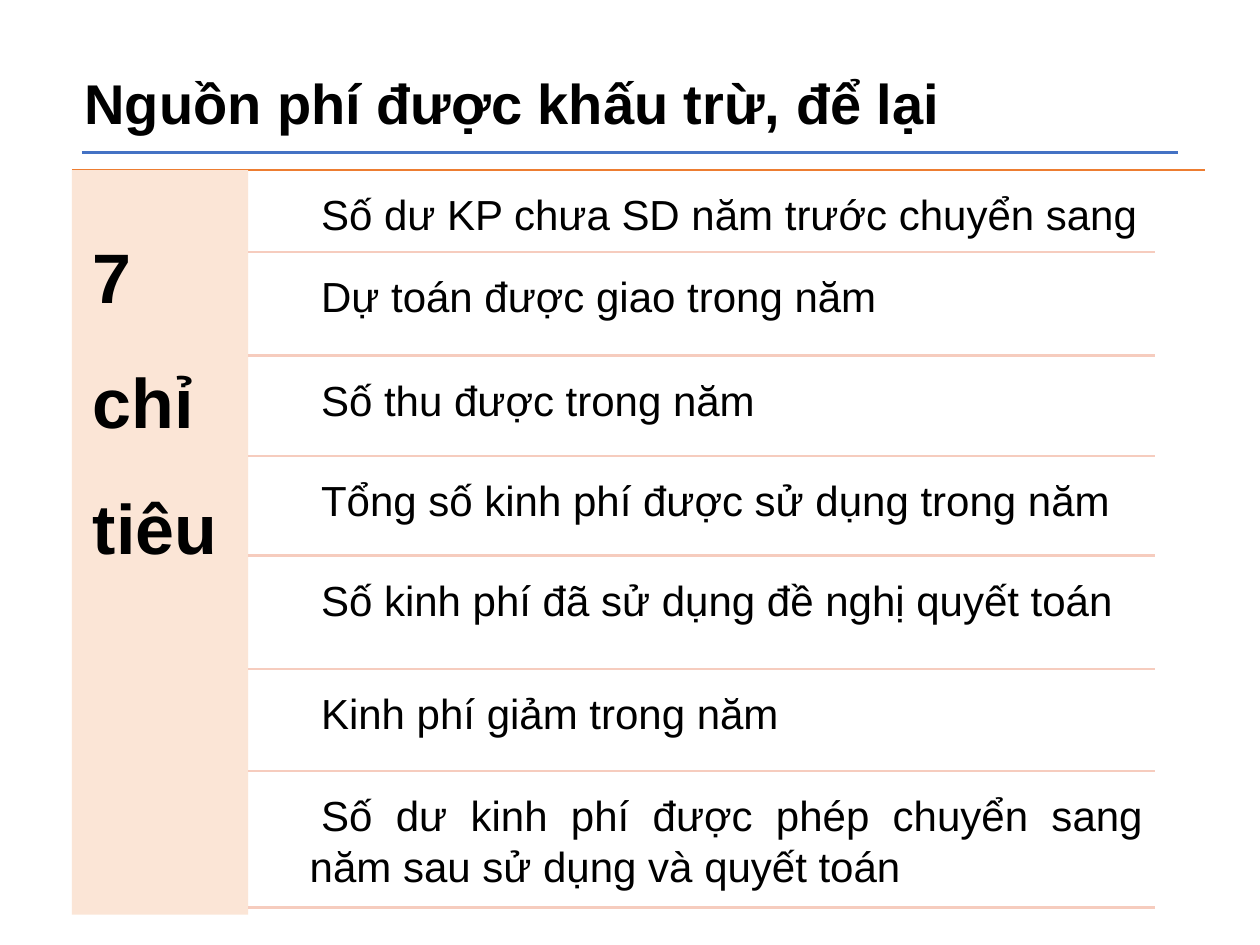
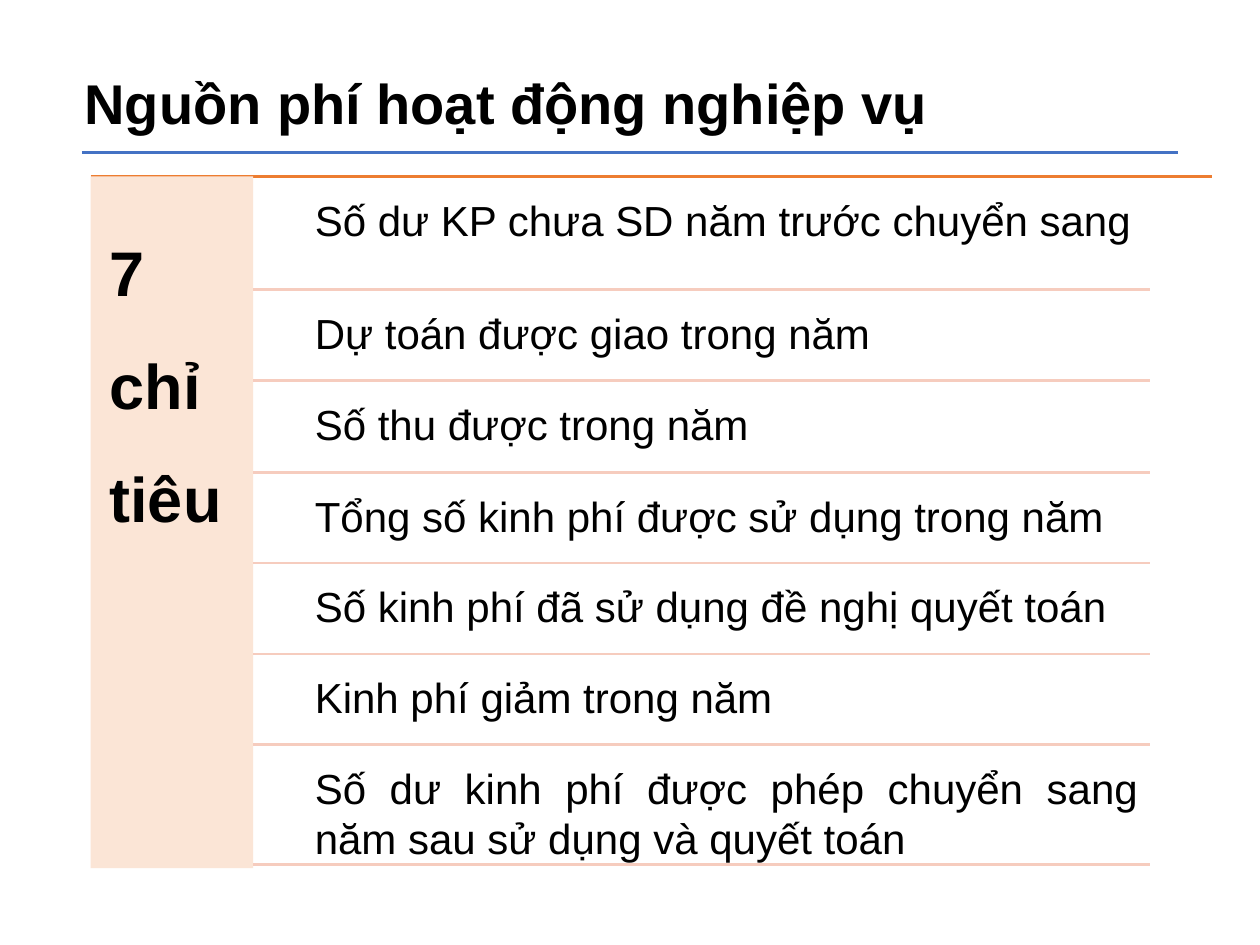
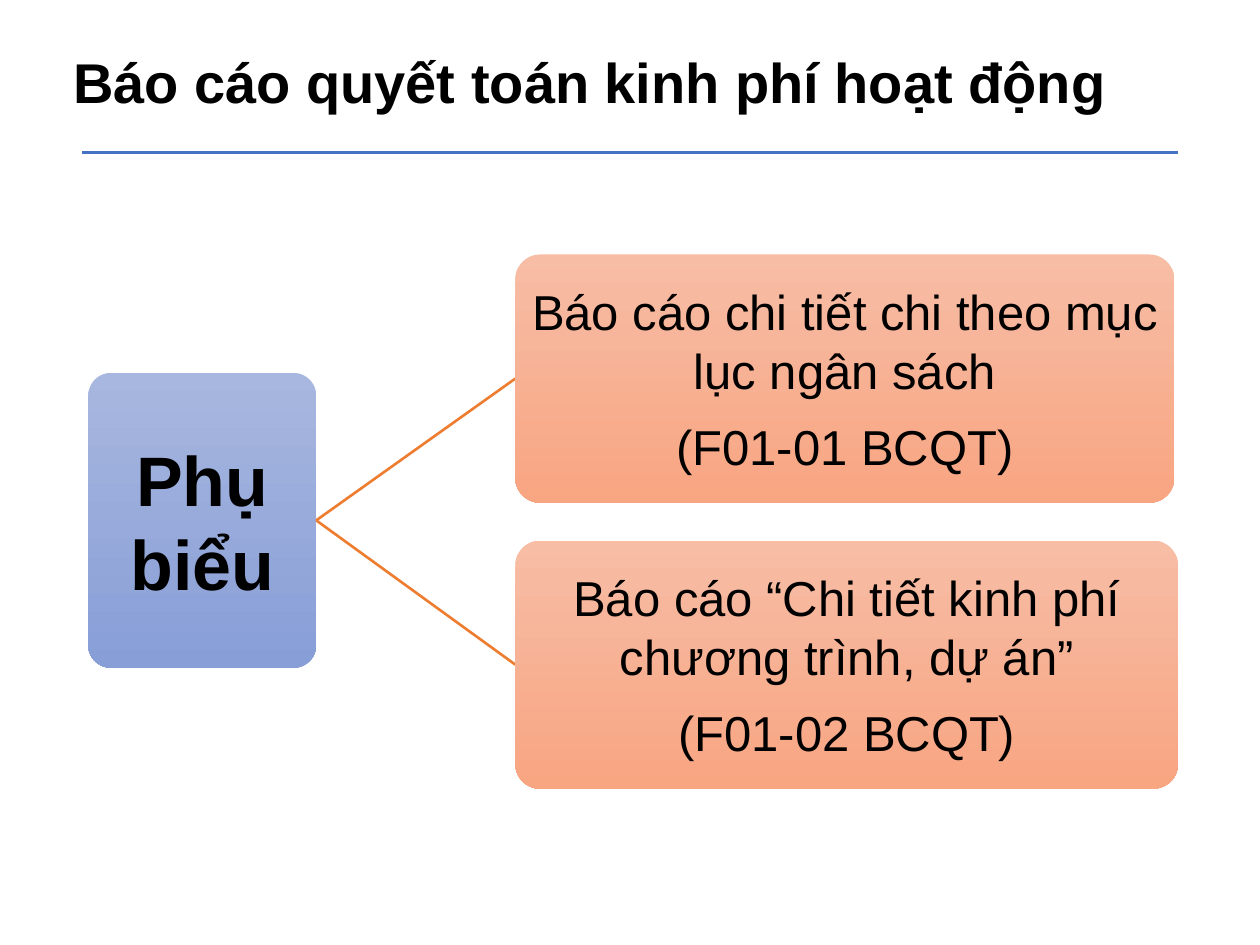
"""Build three slides on fee-funded budget settlement reports."""
import pptx
import pptx.dml.color
import pptx.enum.shapes
import pptx.enum.text
import pptx.oxml
import pptx.util
from pptx.util import Inches

RGBColor = pptx.dml.color.RGBColor
MSO_SHAPE = pptx.enum.shapes.MSO_SHAPE
PP_ALIGN = pptx.enum.text.PP_ALIGN
MSO_ANCHOR = pptx.enum.text.MSO_ANCHOR

FONT = "Arial"
BLACK = RGBColor(0x00, 0x00, 0x00)
BLUE = RGBColor(0x44, 0x72, 0xC4)
ORANGE = RGBColor(0xED, 0x7D, 0x31)
PEACH = RGBColor(0xFB, 0xE5, 0xD6)
ROW_RULE = RGBColor(0xF6, 0xCC, 0xBE)
BLUE_GRADIENT = (RGBColor(0xA8, 0xB7, 0xDF), RGBColor(0x88, 0x9E, 0xD7))
ORANGE_GRADIENT = (RGBColor(0xF7, 0xBD, 0xA5), RGBColor(0xF8, 0xA5, 0x82))

INDICATORS = [
    "Số dư KP chưa SD năm trước chuyển sang",
    "Dự toán được giao trong năm",
    "Số thu được trong năm",
    "Tổng số kinh phí được sử dụng trong năm",
    "Số kinh phí đã sử dụng đề nghị quyết toán",
    "Kinh phí giảm trong năm",
    "Số dư kinh phí được phép chuyển sang năm sau sử dụng và quyết toán",
]


def add_line(s, x1, y1, x2, y2, color):
    """Draw a straight 1.5 pt line without a shadow."""
    line = s.shapes.add_connector(
        pptx.enum.shapes.MSO_CONNECTOR.STRAIGHT,
        Inches(x1), Inches(y1), Inches(x2), Inches(y2))
    line.line.color.rgb = color
    line.line.width = pptx.util.Pt(1.5)
    line._element.spPr.append(pptx.oxml.parse_xml(
        '<a:effectLst xmlns:a="http://schemas.openxmlformats.org/drawingml/2006/main"/>'))
    return line


def set_text(sp, paragraphs, size, bold=False, align=PP_ALIGN.LEFT,
             anchor=MSO_ANCHOR.TOP, margin=0.1, space_after=0, line_spacing=1.0):
    """Fill a shape with evenly formatted paragraphs."""
    tf = sp.text_frame
    tf.word_wrap = True
    tf.auto_size = pptx.enum.text.MSO_AUTO_SIZE.NONE
    tf.vertical_anchor = anchor
    tf.margin_left = tf.margin_right = Inches(margin)
    tf.margin_top = tf.margin_bottom = Inches(margin)
    tf.text = "\n".join(paragraphs)
    for p in tf.paragraphs:
        p.alignment = align
        p.line_spacing = line_spacing
        p.space_after = pptx.util.Pt(space_after)
        p.font.name = FONT
        p.font.size = pptx.util.Pt(size)
        p.font.bold = bold
        p.font.color.rgb = BLACK


def add_shape(s, kind, left, top, width, height):
    """Add a preset shape without outline or shadow."""
    sp = s.shapes.add_shape(kind, Inches(left), Inches(top), Inches(width), Inches(height))
    sp.shadow.inherit = False
    sp.line.fill.background()
    return sp


def add_slide(prs, title, left=0.57, top=0.49, width=7.18):
    """Add a slide with a bold left-aligned title."""
    s = prs.slides.add_slide(prs.slide_layouts[5])
    sp = s.shapes.title
    sp.left, sp.top = Inches(left), Inches(top)
    sp.width, sp.height = Inches(width), Inches(0.64)
    set_text(sp, [title], 32, bold=True)
    sp.text_frame.margin_top = sp.text_frame.margin_bottom = Inches(0.05)
    return s


def add_title_rule(s, layout):
    """Put the blue rule under the title on the shared layout."""
    rule = add_line(s, 0.65, 1.21, 9.35, 1.21, BLUE)
    layout.shapes._spTree.append(rule._element)


def add_indicator_list(s, left, top, column_width, column_height, size,
                       right, top_rule_right, row_bottoms, gap, first_indent=0):
    """Draw the heading column and the ruled list of seven indicators."""
    add_line(s, left, top, top_rule_right, top, ORANGE)
    column = add_shape(s, MSO_SHAPE.RECTANGLE, left, top, column_width, column_height)
    column.fill.solid()
    column.fill.fore_color.rgb = PEACH
    set_text(column, ["7 chỉ tiêu"], size, bold=True, margin=size / 240, line_spacing=1.5)
    column_right = left + column_width
    text_left = column_right + 0.14
    row_tops = [top] + row_bottoms[:-1]
    for indicator, row_top, bottom in zip(INDICATORS, row_tops, row_bottoms):
        sp = s.shapes.add_textbox(Inches(text_left), Inches(row_top + gap),
                                  Inches(right - text_left), Inches(bottom - row_top - gap))
        set_text(sp, [indicator], 24, align=PP_ALIGN.JUSTIFY)
        pPr = sp.text_frame.paragraphs[0]._p.get_or_add_pPr()
        pPr.set("marL", str(Inches(0.25)))
        pPr.set("indent", str(Inches(first_indent)))
        add_line(s, column_right, bottom, right, bottom, ROW_RULE)


def add_card(s, left, top, width, height, gradient, paragraphs, size, bold=False):
    """Add a rounded card with a vertical gradient and centred text."""
    card = add_shape(s, MSO_SHAPE.ROUNDED_RECTANGLE, left, top, width, height)
    card.adjustments[0] = 0.1
    card.fill.gradient()
    card.fill.gradient_angle = 270
    for stop, color in zip(card.fill.gradient_stops, gradient):
        stop.color.rgb = color
    set_text(card, paragraphs, size, bold=bold, align=PP_ALIGN.CENTER,
             anchor=MSO_ANCHOR.MIDDLE, margin=0.07, space_after=size * 0.35)


def add_appendix_tree(s):
    """Draw the appendix card linked to its two reports."""
    add_card(s, 0.7, 2.96, 1.81, 2.34, BLUE_GRADIENT, ["Phụ biểu"], 40, bold=True)
    reports = [
        (2.02, 5.23, ["Báo cáo chi tiết chi theo mục lục ngân sách", "(F01-01 BCQT)"]),
        (4.29, 5.26, ["Báo cáo “Chi tiết kinh phí chương trình, dự án”", "(F01-02 BCQT)"]),
    ]
    height = 1.97
    for top, width, paragraphs in reports:
        add_line(s, 2.51, 4.13, 4.09, top + height / 2, ORANGE)
        add_card(s, 4.09, top, width, height, ORANGE_GRADIENT, paragraphs, 28)


def main():
    """Build and save the presentation."""
    prs = pptx.Presentation()
    prs.slide_width, prs.slide_height = Inches(10), Inches(7.5)

    s = add_slide(prs, "Nguồn phí được khấu trừ, để lại")
    add_title_rule(s, prs.slide_layouts[5])
    add_indicator_list(s, 0.57, 1.35, 1.4, 5.91, 40, 9.17, 9.56,
                       [2, 2.82, 3.62, 4.41, 5.31, 6.12, 7.2], 0.05, first_indent=0.09)

    s = add_slide(prs, "Nguồn phí hoạt động nghiệp vụ")
    add_indicator_list(s, 0.72, 1.4, 1.29, 5.49, 36, 9.13, 9.62,
                       [2.3, 3.02, 3.75, 4.47, 5.19, 5.91, 6.86], 0.04)

    s = add_slide(prs, "Báo cáo quyết toán kinh phí hoạt động", 0.48, 0.33, 8.65)
    add_appendix_tree(s)

    prs.save("out.pptx")


if __name__ == "__main__":
    main()
